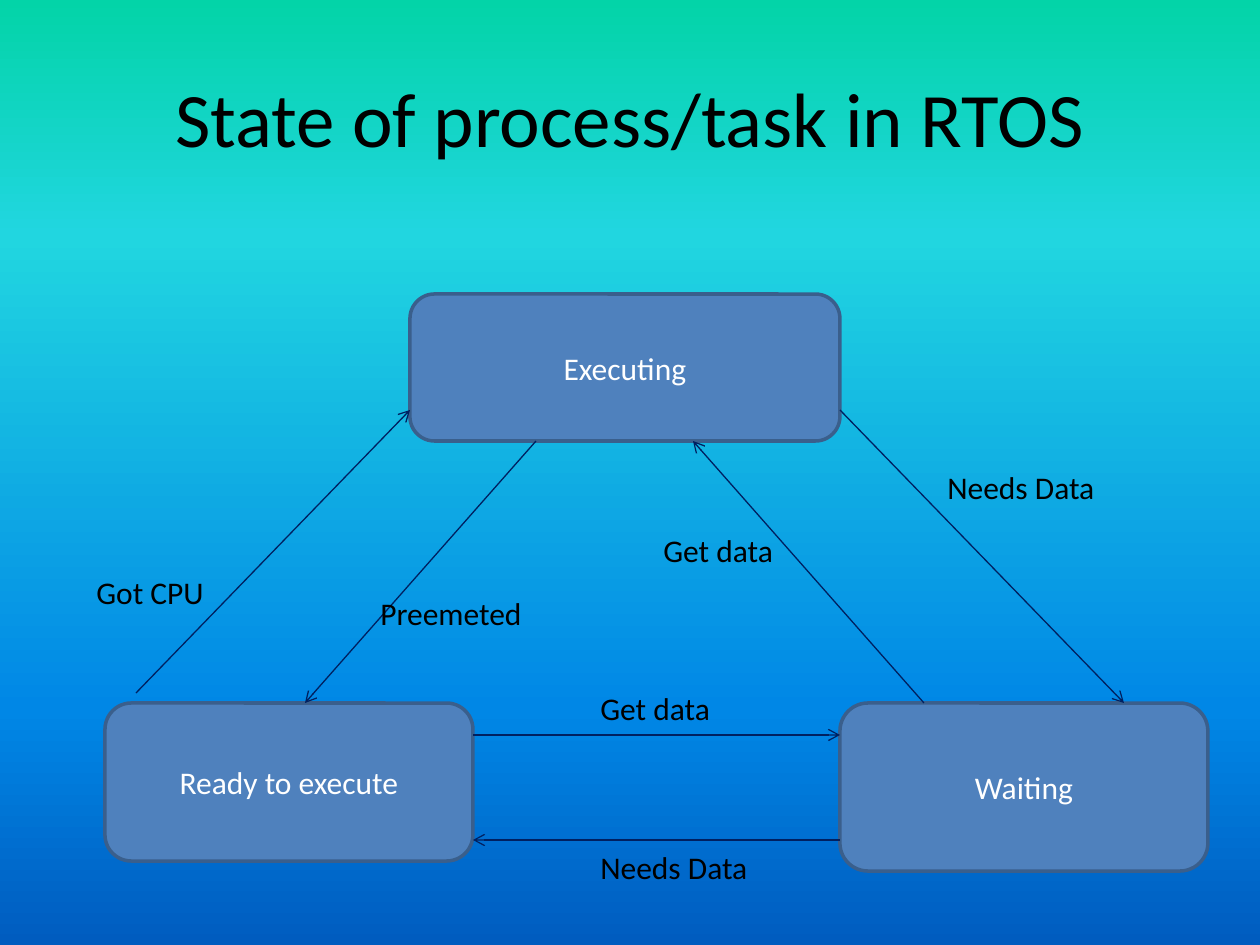
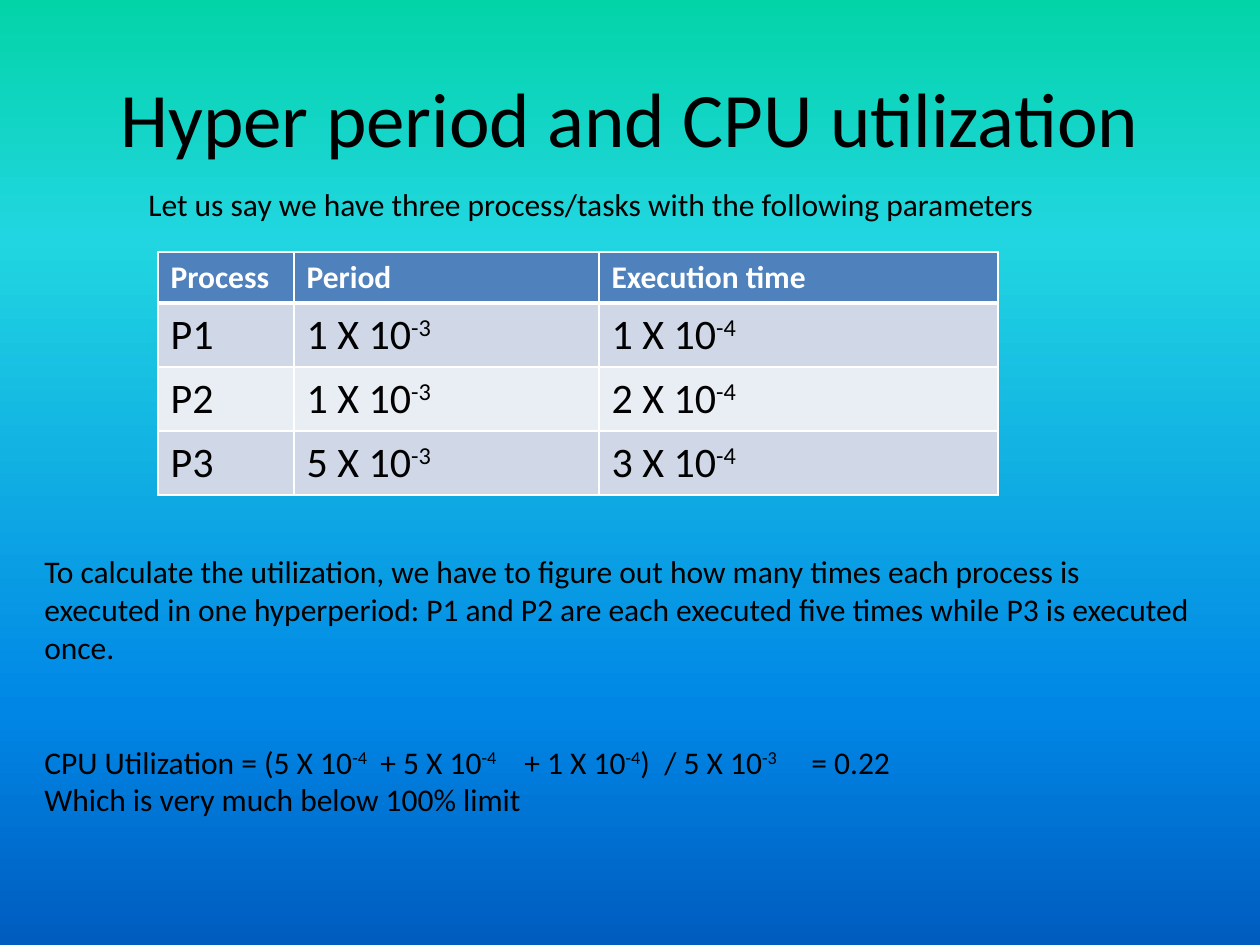
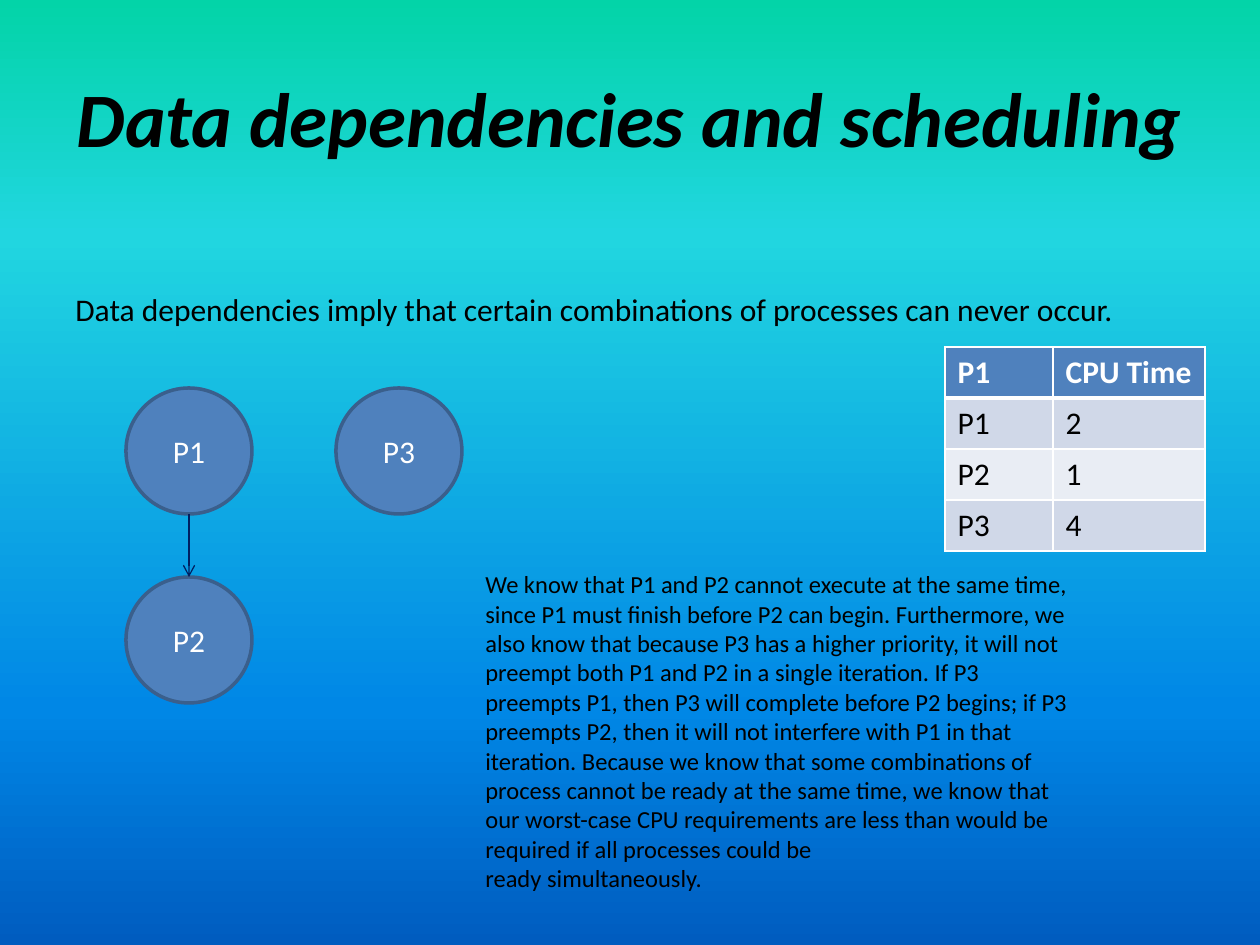
from lxml.etree import SubElement
from pptx import Presentation
from pptx.dml.color import RGBColor
from pptx.enum.shapes import MSO_CONNECTOR, MSO_SHAPE
from pptx.enum.text import MSO_ANCHOR, MSO_AUTO_SIZE, PP_ALIGN
from pptx.oxml.ns import qn
from pptx.util import Emu, Inches, Pt

SCALE = 914400 / 126
BLACK = RGBColor(0x00, 0x00, 0x00)
WHITE = RGBColor(0xFF, 0xFF, 0xFF)
BLUE = RGBColor(0x4F, 0x81, 0xBD)
OUTLINE = RGBColor(0x3A, 0x5F, 0x8C)
NAVY = RGBColor(0x00, 0x20, 0x60)
BAND_DARK = RGBColor(0xD0, 0xD8, 0xE8)
BAND_LIGHT = RGBColor(0xE9, 0xED, 0xF4)
BACKGROUND = [
    (0, RGBColor(0x03, 0xD4, 0xA8)),
    (25, RGBColor(0x21, 0xD6, 0xE0)),
    (75, RGBColor(0x00, 0x87, 0xE6)),
    (100, RGBColor(0x00, 0x5C, 0xBF)),
]


def px(*lengths):
    return [Emu(round(length * SCALE)) for length in lengths]


def add_solid(parent, color):
    fill = SubElement(parent, qn("a:solidFill"))
    SubElement(fill, qn("a:srgbClr"), val=str(color))


class Deck:
    font = "Calibri"
    size = 18
    title_size = 44

    def __init__(self):
        self.presentation = Presentation()
        self.presentation.slide_width = Inches(10)
        self.presentation.slide_height = Inches(7.5)
        self.slide = None
        self.paint_background()

    def paint_background(self):
        master = self.presentation.slide_master
        fill = master.background.fill
        fill.gradient()
        fill.gradient_angle = 270
        stops = master.element.find(".//" + qn("a:gsLst"))
        for stop in list(stops):
            stops.remove(stop)
        for percent, color in BACKGROUND:
            stop = SubElement(stops, qn("a:gs"), pos=str(percent * 1000))
            SubElement(stop, qn("a:srgbClr"), val=str(color))

    def add_runs(self, paragraph, parts, size=None, color=BLACK, bold=False, italic=False):
        for index, text in enumerate(parts):
            run = paragraph.add_run()
            run.text = text
            font = run.font
            font.name = self.font
            font.size = Pt(size or self.size)
            font.color.rgb = color
            font.bold = bold
            font.italic = italic
            if index % 2:
                run._r.get_or_add_rPr().set("baseline", "30000")

    def new_slide(self, title, emphasis=False):
        layout = self.presentation.slide_layouts[5]
        self.slide = self.presentation.slides.add_slide(layout)
        shape = self.slide.shapes.title
        shape.left, shape.top, shape.width, shape.height = px(63, 38, 1134, 158)
        shape.text_frame.vertical_anchor = MSO_ANCHOR.MIDDLE
        paragraph = shape.text_frame.paragraphs[0]
        paragraph.alignment = PP_ALIGN.CENTER
        self.add_runs(paragraph, [title], self.title_size, bold=emphasis, italic=emphasis)

    def node(self, text, box, kind=MSO_SHAPE.ROUNDED_RECTANGLE):
        shape = self.slide.shapes.add_shape(kind, *px(*box))
        shape.shadow.inherit = False
        shape.fill.solid()
        shape.fill.fore_color.rgb = BLUE
        shape.line.color.rgb = OUTLINE
        shape.line.width = Pt(2)
        shape.text_frame.vertical_anchor = MSO_ANCHOR.MIDDLE
        paragraph = shape.text_frame.paragraphs[0]
        paragraph.alignment = PP_ALIGN.CENTER
        self.add_runs(paragraph, [text], color=WHITE)

    def arrow(self, start, end):
        connector = self.slide.shapes.add_connector(
            MSO_CONNECTOR.STRAIGHT, *px(*start, *end)
        )
        connector.line.color.rgb = NAVY
        connector.line.width = Pt(0.75)
        properties = connector._element.spPr
        SubElement(properties.find(qn("a:ln")), qn("a:tailEnd"), type="arrow")
        SubElement(properties, qn("a:effectLst"))

    def text(self, paragraphs, box, size=None, wrap=False):
        frame = self.slide.shapes.add_textbox(*px(*box)).text_frame
        frame.word_wrap = wrap
        frame.auto_size = MSO_AUTO_SIZE.SHAPE_TO_FIT_TEXT
        for index, parts in enumerate(paragraphs):
            paragraph = frame.add_paragraph() if index else frame.paragraphs[0]
            self.add_runs(paragraph, parts, size)
        return frame

    def tab_stops(self, paragraph, positions):
        tabs = SubElement(paragraph._p.get_or_add_pPr(), qn("a:tabLst"))
        for position in px(*positions):
            SubElement(tabs, qn("a:tab"), pos=str(position), algn="l")

    def borders(self, cell, bottom):
        properties = cell._tc.get_or_add_tcPr()
        for side, width in (("L", 1), ("R", 1), ("T", 1), ("B", bottom)):
            line = SubElement(properties, qn("a:ln" + side), w=str(Pt(width)))
            add_solid(line, WHITE)

    def table(self, rows, corner, widths, row_height, size=None):
        heights = [51] + [row_height] * (len(rows) - 1)
        table = self.slide.shapes.add_table(
            len(rows), len(widths), *px(*corner, sum(widths), sum(heights))
        ).table
        for column, width in zip(table.columns, px(*widths)):
            column.width = width
        for index, (row, height, values) in enumerate(zip(table.rows, px(*heights), rows)):
            row.height = height
            header = index == 0
            band = BLUE if header else BAND_DARK if index % 2 else BAND_LIGHT
            for cell, parts in zip(row.cells, values):
                self.borders(cell, 3 if header else 1)
                cell.fill.solid()
                cell.fill.fore_color.rgb = band
                self.add_runs(
                    cell.text_frame.paragraphs[0],
                    parts,
                    self.size if header else size,
                    WHITE if header else BLACK,
                    bold=header,
                )


def build_states(deck):
    deck.new_slide("State of process/task in RTOS")
    deck.node("Executing", (410, 294, 430, 147))
    deck.node("Ready to execute", (105, 703, 368, 158))
    deck.node("Waiting", (840, 703, 368, 168))
    for start, end in [
        ((136, 693), (410, 410)),
        ((536, 441), (305, 703)),
        ((840, 410), (1124, 703)),
        ((924, 703), (693, 441)),
        ((473, 735), (840, 735)),
        ((840, 840), (473, 840)),
    ]:
        deck.arrow(start, end)
    for label, left, top, width in [
        ("Preemeted", 368, 588, 169),
        ("Got CPU", 84, 567, 134),
        ("Needs Data", 935, 462, 174),
        ("Get data", 651, 525, 136),
        ("Needs Data", 588, 842, 174),
        ("Get data", 588, 683, 136),
    ]:
        deck.text([[label]], (left, top, width, 50))


def build_utilization(deck):
    deck.new_slide("Hyper period and CPU utilization")
    rows = [[["Process"], ["Period"], ["Execution time"]]]
    for name, period, time in [("P1", 1, 1), ("P2", 1, 2), ("P3", 5, 3)]:
        rows.append([[name], [f"{period} X 10", "-3"], [f"{time} X 10", "-4"]])
    deck.table(rows, (158, 252), (136, 305, 399), 63, size=24)
    deck.text(
        [["Let us say we have three process/tasks with the following parameters"]],
        (136, 179, 921, 50),
    )
    frame = deck.text(
        [
            ["To calculate the utilization, we have to figure out how many times each process is"],
            ["executed in one hyperperiod: P1 and P2 are each executed five times while P3 is executed"],
            ["once."],
            ["CPU Utilization = (5 X 10", "-4", "\t+ 5 X 10", "-4", "\t+ 1 X 10", "-4",
             ")\t/ 5 X 10", "-3", "\t= 0.22"],
            ["Which is very much below 100% limit"],
        ],
        (32, 546, 1186, 398),
    )
    formula = frame.paragraphs[3]
    formula.space_before = Pt(44)
    deck.tab_stops(formula, (336, 480, 620, 767))


def build_dependencies(deck):
    deck.new_slide("Data dependencies and scheduling", emphasis=True)
    deck.text(
        [["Data dependencies imply that certain combinations of processes can never occur."]],
        (63, 284, 1102, 50),
        wrap=True,
    )
    for name, left, top in [("P1", 126, 388), ("P2", 126, 577), ("P3", 336, 388)]:
        deck.node(name, (left, top, 126, 126), MSO_SHAPE.OVAL)
    deck.arrow((189, 514), (189, 577))
    rows = [("P1", "CPU Time"), ("P1", "2"), ("P2", "1"), ("P3", "4")]
    deck.table([[[value] for value in row] for row in rows], (945, 347), (108, 152), 51)
    deck.text(
        [
            ["We know that P1 and P2 cannot execute at the same time, since P1 must finish "
             "before P2 can begin. Furthermore, we also know that because P3 has a higher "
             "priority, it will not"],
            ["preempt both P1 and P2 in a single iteration. If P3 preempts P1, then P3 will "
             "complete before P2 begins; if P3 preempts P2, then it will not interfere with P1 "
             "in that iteration. Because we know that some combinations of process cannot be "
             "ready at the same time, we know that"],
            ["our worst-case CPU requirements are less than would be required if all "
             "processes could be"],
            ["ready simultaneously."],
        ],
        (473, 563, 620, 339),
        size=14,
        wrap=True,
    )


deck = Deck()
build_states(deck)
build_utilization(deck)
build_dependencies(deck)
deck.presentation.save("out.pptx")
